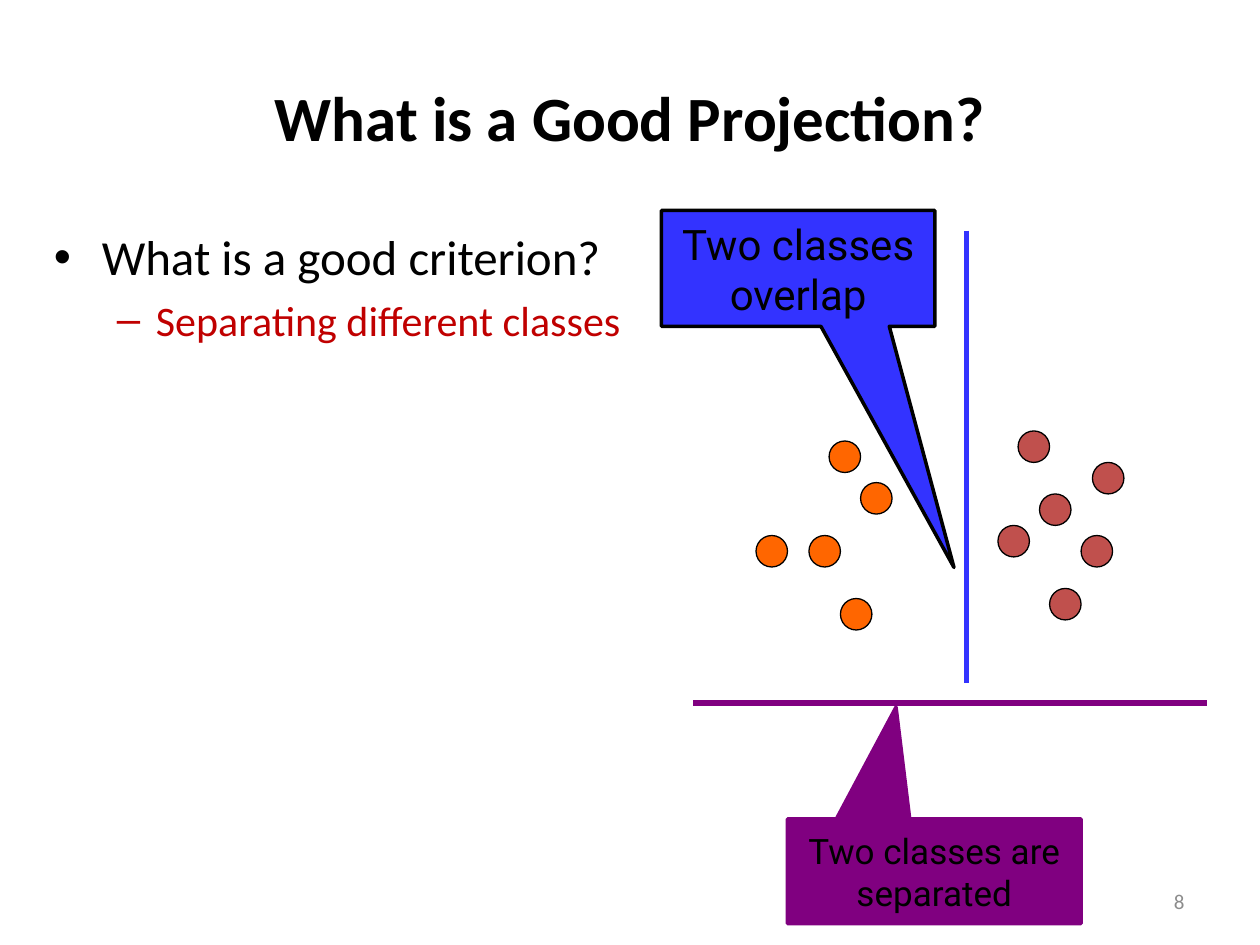
from dataclasses import dataclass

import lxml.etree
import pptx
import pptx.dml.color
import pptx.enum.shapes
import pptx.enum.text
import pptx.oxml.ns
import pptx.shapes.autoshape
import pptx.text.text
import pptx.util

Inches = pptx.util.Inches
Align = pptx.enum.text.PP_ALIGN
Anchor = pptx.enum.text.MSO_ANCHOR
Shape = pptx.enum.shapes.MSO_SHAPE
qn = pptx.oxml.ns.qn


@dataclass(frozen=True)
class Theme:
    text_font: str = "Calibri"
    callout_font: str = "Roboto"
    black: str = "000000"
    accent: str = "C00000"
    grey: str = "8C8C8C"
    orange: str = "FF6600"
    red: str = "C0504D"
    blue: str = "3333FF"
    purple: str = "800080"
    title: int = 36
    bullet: int = 28
    sub_bullet: int = 24
    small_callout: int = 20
    number: int = 12
    dot_line: float = 0.75
    callout_line: float = 2
    axis_line: float = 3


@dataclass(frozen=True)
class Bullet:
    text: str
    mark: str
    level: int
    margin: float
    hanging: float
    size: int
    color: str
    space_before: float


@dataclass(frozen=True)
class Callout:
    text: str
    box: tuple[float, float, float, float]
    tip: tuple[float, float]
    fill: str
    outline: str
    size: int


@dataclass(frozen=True)
class Axis:
    start: tuple[float, float]
    end: tuple[float, float]
    color: str


THEME = Theme()
DOT_SIZE = 0.25

CLASSES = {
    THEME.orange: [(6, 4.25), (6.42, 4.25), (6.67, 4.75), (6.83, 3.83), (6.58, 3.5)],
    THEME.red: [(8.08, 3.42), (8.25, 3.92), (7.92, 4.17),
                (8.67, 3.67), (8.33, 4.67), (8.58, 4.25)],
}
BULLETS = [
    Bullet("What is a good criterion?", "•", 0, 0.38, 0.38, THEME.bullet, THEME.black, 0),
    Bullet("Separating different classes", "–", 1, 0.81, 0.31,
           THEME.sub_bullet, THEME.accent, 5),
]
OVERLAP = Callout("Two classes overlap", (5.25, 1.67, 2.17, 0.92), (0.57, 2.58),
                  THEME.blue, THEME.black, 24)
SEPARATED = Callout("Two classes are separated", (6.25, 6.5, 2.33, 0.83), (-0.13, -1.57),
                    THEME.purple, THEME.purple, THEME.small_callout)
VERTICAL = Axis((7.67, 1.83), (7.67, 5.42), THEME.blue)
HORIZONTAL = Axis((5.5, 5.58), (9.58, 5.58), THEME.purple)


def rgb(color: str) -> pptx.dml.color.RGBColor:
    return pptx.dml.color.RGBColor.from_string(color)


def inches(*lengths: float) -> list[pptx.util.Length]:
    return [Inches(length) for length in lengths]


def add_run(paragraph: pptx.text.text._Paragraph, text: str, size: int, color: str,
            font: str = THEME.text_font, bold: bool = False) -> None:
    run = paragraph.add_run()
    run.text = text
    run.font.name = font
    run.font.size = pptx.util.Pt(size)
    run.font.bold = bold
    run.font.color.rgb = rgb(color)


def add_filled(shapes, preset, box, fill: str, outline: str,
               width: float) -> pptx.shapes.autoshape.Shape:
    shape = shapes.add_shape(preset, *inches(*box))
    shape.shadow.inherit = False
    shape.fill.solid()
    shape.fill.fore_color.rgb = rgb(fill)
    shape.line.color.rgb = rgb(outline)
    shape.line.width = pptx.util.Pt(width)
    return shape


def add_callout(shapes, callout: Callout) -> None:
    shape = add_filled(shapes, Shape.RECTANGULAR_CALLOUT, callout.box,
                       callout.fill, callout.outline, THEME.callout_line)
    shape.adjustments[0], shape.adjustments[1] = callout.tip
    frame = shape.text_frame
    frame.word_wrap = True
    frame.vertical_anchor = Anchor.MIDDLE
    frame.paragraphs[0].alignment = Align.CENTER
    add_run(frame.paragraphs[0], callout.text, callout.size, THEME.black, THEME.callout_font)


def add_axis(shapes, axis: Axis) -> None:
    line = shapes.add_connector(pptx.enum.shapes.MSO_CONNECTOR.STRAIGHT,
                                *inches(*axis.start, *axis.end))
    line.line.color.rgb = rgb(axis.color)
    line.line.width = pptx.util.Pt(THEME.axis_line)
    lxml.etree.SubElement(line._element.spPr, qn("a:effectLst"))


def add_bullet(paragraph: pptx.text.text._Paragraph, bullet: Bullet) -> None:
    paragraph.level = bullet.level
    paragraph.space_before = pptx.util.Pt(bullet.space_before)
    add_run(paragraph, bullet.text, bullet.size, bullet.color)
    properties = paragraph._p.get_or_add_pPr()
    properties.set("marL", str(Inches(bullet.margin)))
    properties.set("indent", str(-Inches(bullet.hanging)))
    lxml.etree.SubElement(properties, qn("a:buFont"), typeface="Arial")
    lxml.etree.SubElement(properties, qn("a:buChar"), char=bullet.mark)


def main() -> None:
    deck = pptx.Presentation()
    deck.slide_width, deck.slide_height = inches(10, 7.5)
    slide = deck.slides.add_slide(deck.slide_layouts.get_by_name("Title Only"))
    shapes = slide.shapes

    # Title
    title = shapes.title
    title.left, title.top, title.width, title.height = inches(0.5, 0.3, 9, 1.25)
    title.text_frame.vertical_anchor = Anchor.MIDDLE
    heading = title.text_frame.paragraphs[0]
    heading.alignment = Align.CENTER
    add_run(heading, "What is a Good Projection?", THEME.title, THEME.black, bold=True)

    # Criterion bullets
    criteria = shapes.add_textbox(*inches(0.33, 1.75, 4.83, 4.95)).text_frame
    criteria.word_wrap = True
    for index, bullet in enumerate(BULLETS):
        add_bullet(criteria.add_paragraph() if index else criteria.paragraphs[0], bullet)

    # Samples of the two classes
    samples = shapes.add_group_shape().shapes
    for color, corners in CLASSES.items():
        for corner in corners:
            add_filled(samples, Shape.OVAL, (*corner, DOT_SIZE, DOT_SIZE),
                       color, THEME.black, THEME.dot_line)

    # Projection onto the vertical axis
    overlap = shapes.add_group_shape().shapes
    add_callout(overlap, OVERLAP)
    add_axis(overlap, VERTICAL)

    # Projection onto the horizontal axis
    add_callout(shapes, SEPARATED)
    add_axis(shapes, HORIZONTAL)

    # Slide number
    number = shapes.add_textbox(*inches(7.17, 6.95, 2.33, 0.4)).text_frame
    number.word_wrap = True
    number.vertical_anchor = Anchor.MIDDLE
    number.paragraphs[0].alignment = Align.RIGHT
    add_run(number.paragraphs[0], "8", THEME.number, THEME.grey)

    deck.save("out.pptx")


if __name__ == "__main__":
    main()
